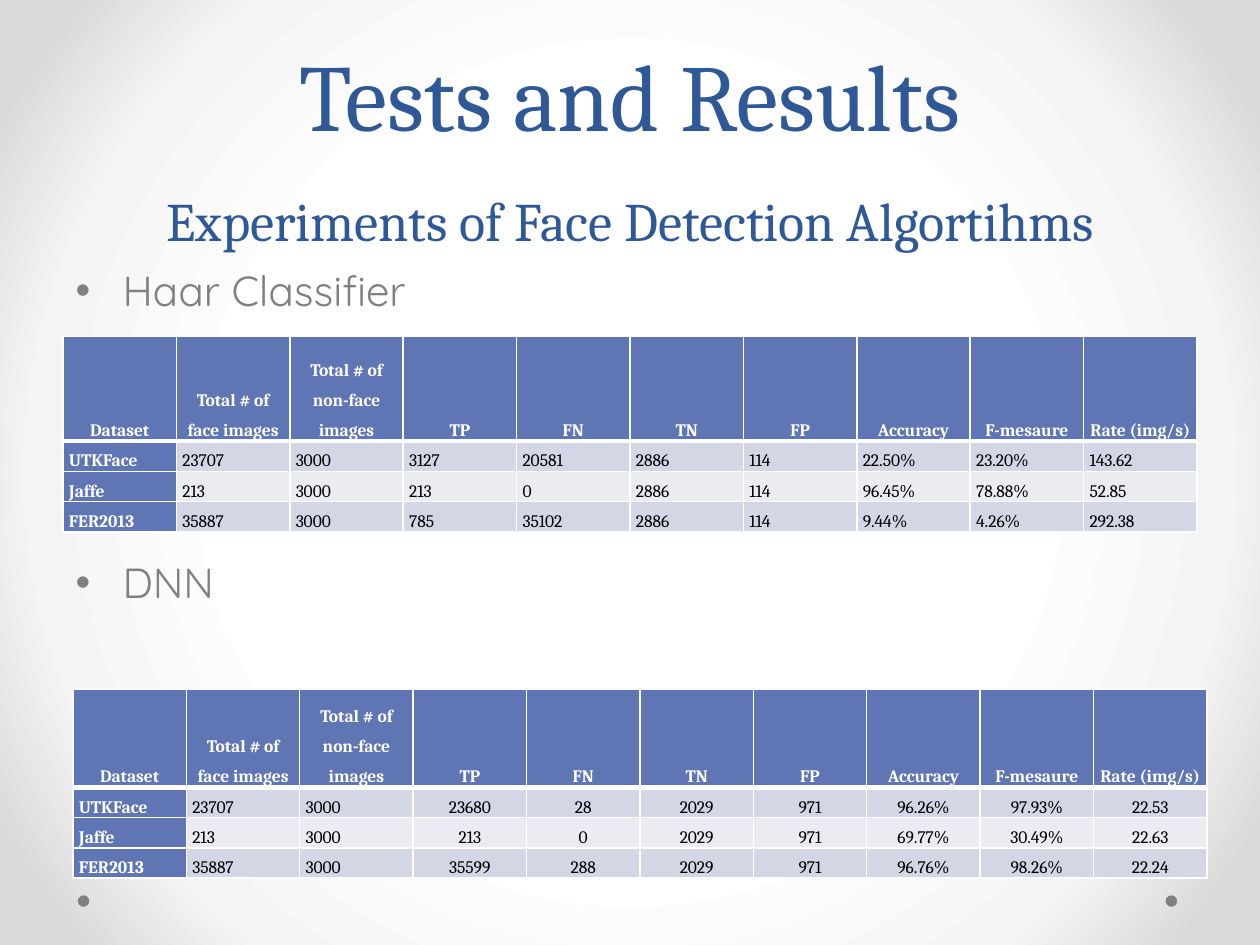
"""Build the slide of face detection test results."""
import lxml.etree
import pptx
import pptx.dml.color
import pptx.enum.shapes
import pptx.enum.text
import pptx.oxml
import pptx.oxml.ns
import pptx.util

Cm = pptx.util.Cm
Pt = pptx.util.Pt
RGBColor = pptx.dml.color.RGBColor
PP_ALIGN = pptx.enum.text.PP_ALIGN
MSO_ANCHOR = pptx.enum.text.MSO_ANCHOR
qn = pptx.oxml.ns.qn

NAVY = RGBColor(0x2F, 0x58, 0x97)
GRAY = RGBColor(0x80, 0x80, 0x80)
BLUE = RGBColor(0x60, 0x76, 0xB4)
BAND_DARK = RGBColor(0xD2, 0xD6, 0xE5)
BAND_LIGHT = RGBColor(0xEA, 0xEC, 0xF2)
WHITE = RGBColor(0xFF, 0xFF, 0xFF)
BLACK = RGBColor(0x00, 0x00, 0x00)
SILVER = RGBColor(0xF4, 0xF4, 0xF4)
SHADE = RGBColor(0xDA, 0xDA, 0xDA)

HEADINGS = ["Dataset", "Total # of face images", "Total # of non-face images",
            "TP", "FN", "TN", "FP", "Accuracy", "F-mesaure", "Rate (img/s)"]
HAAR_RESULTS = [
    ["UTKFace", "23707", "3000", "3127", "20581", "2886", "114", "22.50%", "23.20%", "143.62"],
    ["Jaffe", "213", "3000", "213", "0", "2886", "114", "96.45%", "78.88%", "52.85"],
    ["FER2013", "35887", "3000", "785", "35102", "2886", "114", "9.44%", "4.26%", "292.38"],
]
DNN_RESULTS = [
    ["UTKFace", "23707", "3000", "23680", "28", "2029", "971", "96.26%", "97.93%", "22.53"],
    ["Jaffe", "213", "3000", "213", "0", "2029", "971", "69.77%", "30.49%", "22.63"],
    ["FER2013", "35887", "3000", "35599", "288", "2029", "971", "96.76%", "98.26%", "22.24"],
]


def add_run(paragraph, text, size, font, color, bold=False):
    run = paragraph.add_run()
    run.text = text
    run.font.size = Pt(size)
    run.font.name = font
    run.font.color.rgb = color
    run.font.bold = bold


def add_border(cell, side, width):
    line = lxml.etree.SubElement(cell._tc.get_or_add_tcPr(), qn(f"a:{side}"), w=str(Pt(width)))
    fill = lxml.etree.SubElement(line, qn("a:solidFill"))
    lxml.etree.SubElement(fill, qn("a:srgbClr"), val=str(WHITE))


presentation = pptx.Presentation()
presentation.slide_width = Cm(25.4)
presentation.slide_height = Cm(19.05)
slide = presentation.slides.add_slide(presentation.slide_layouts[1])

slide.background.fill.gradient()
gradient = slide.background._cSld.find(".//" + qn("a:gradFill"))
for part in list(gradient):
    gradient.remove(part)
stops = lxml.etree.SubElement(gradient, qn("a:gsLst"))
for percent, color in [(50, WHITE), (76, SILVER), (92, SHADE)]:
    stop = lxml.etree.SubElement(stops, qn("a:gs"), pos=str(percent * 1000))
    lxml.etree.SubElement(stop, qn("a:srgbClr"), val=str(color))
circle = lxml.etree.SubElement(gradient, qn("a:path"), path="circle")
lxml.etree.SubElement(circle, qn("a:fillToRect"), l="50000", t="50000", r="50000", b="50000")

for left in (23.5, 1.57):
    dot = slide.shapes.add_shape(pptx.enum.shapes.MSO_SHAPE.OVAL,
                                 Cm(left), Cm(18.05), Cm(0.23), Cm(0.23))
    dot.shadow.inherit = False
    dot.fill.solid()
    dot.fill.fore_color.rgb = GRAY
    dot.line.fill.background()

title = slide.shapes.title
title.left, title.top, title.width, title.height = Cm(1.27), Cm(0.76), Cm(22.86), Cm(4.45)
title.text_frame.auto_size = pptx.enum.text.MSO_AUTO_SIZE.NONE
title.text_frame.vertical_anchor = MSO_ANCHOR.BOTTOM
heading = title.text_frame.paragraphs[0]
heading.alignment = PP_ALIGN.CENTER
heading.line_spacing = Pt(58)
add_run(heading, "Tests and Results", 54, "Cambria", NAVY)
heading.add_line_break()
add_run(heading, "Experiments of Face Detection Algortihms", 31, "Cambria", NAVY)

methods = slide.placeholders[1]
methods.left, methods.top, methods.width, methods.height = Cm(1.27), Cm(5.21), Cm(22.86), Cm(12.57)
methods.text_frame.auto_size = pptx.enum.text.MSO_AUTO_SIZE.NONE
for index, (method, gap) in enumerate([("Haar Classifier", 0), ("DNN", 138)]):
    item = methods.text_frame.add_paragraph() if index else methods.text_frame.paragraphs[0]
    item.space_before = Pt(gap)
    add_run(item, method, 24, "Quicksand", GRAY)
    properties = item._p.get_or_add_pPr()
    properties.set("marL", str(Cm(0.95)))
    properties.set("indent", str(-Cm(0.95)))
    lxml.etree.SubElement(properties, qn("a:buFont"), typeface="Arial")
    lxml.etree.SubElement(properties, qn("a:buChar"), char="•")

for results, left, top, header_height, first_centered in [
    (HAAR_RESULTS, 1.27, 6.78, 2.11, len(HEADINGS)),
    (DNN_RESULTS, 1.47, 13.89, 1.98, 3),
]:
    rows = [HEADINGS] + results
    table = slide.shapes.add_table(len(rows), len(HEADINGS), Cm(left), Cm(top),
                                   Cm(22.86), Cm(header_height + 3 * 0.56)).table
    table.first_col = True
    for r, row in enumerate(rows):
        table.rows[r].height = Cm(0.56 if r else header_height)
        for c, value in enumerate(row):
            cell = table.cell(r, c)
            labelled = r == 0 or c == 0
            cell.margin_left = cell.margin_right = Cm(0.12)
            cell.margin_top = cell.margin_bottom = 0
            cell.vertical_anchor = MSO_ANCHOR.BOTTOM
            for side, width in [("lnL", 1), ("lnR", 1), ("lnT", 3 if r == 1 else 1),
                                ("lnB", 1 if r else 3)]:
                add_border(cell, side, width)
            cell.fill.solid()
            cell.fill.fore_color.rgb = BLUE if labelled else BAND_DARK if r % 2 else BAND_LIGHT
            entry = cell.text_frame.paragraphs[0]
            centered = r == 0 or c >= first_centered
            entry.alignment = PP_ALIGN.CENTER if centered else PP_ALIGN.LEFT
            entry.line_spacing = 1.5
            add_run(entry, value, 10, "Cambria", WHITE if labelled else BLACK, labelled)

presentation.save("out.pptx")
